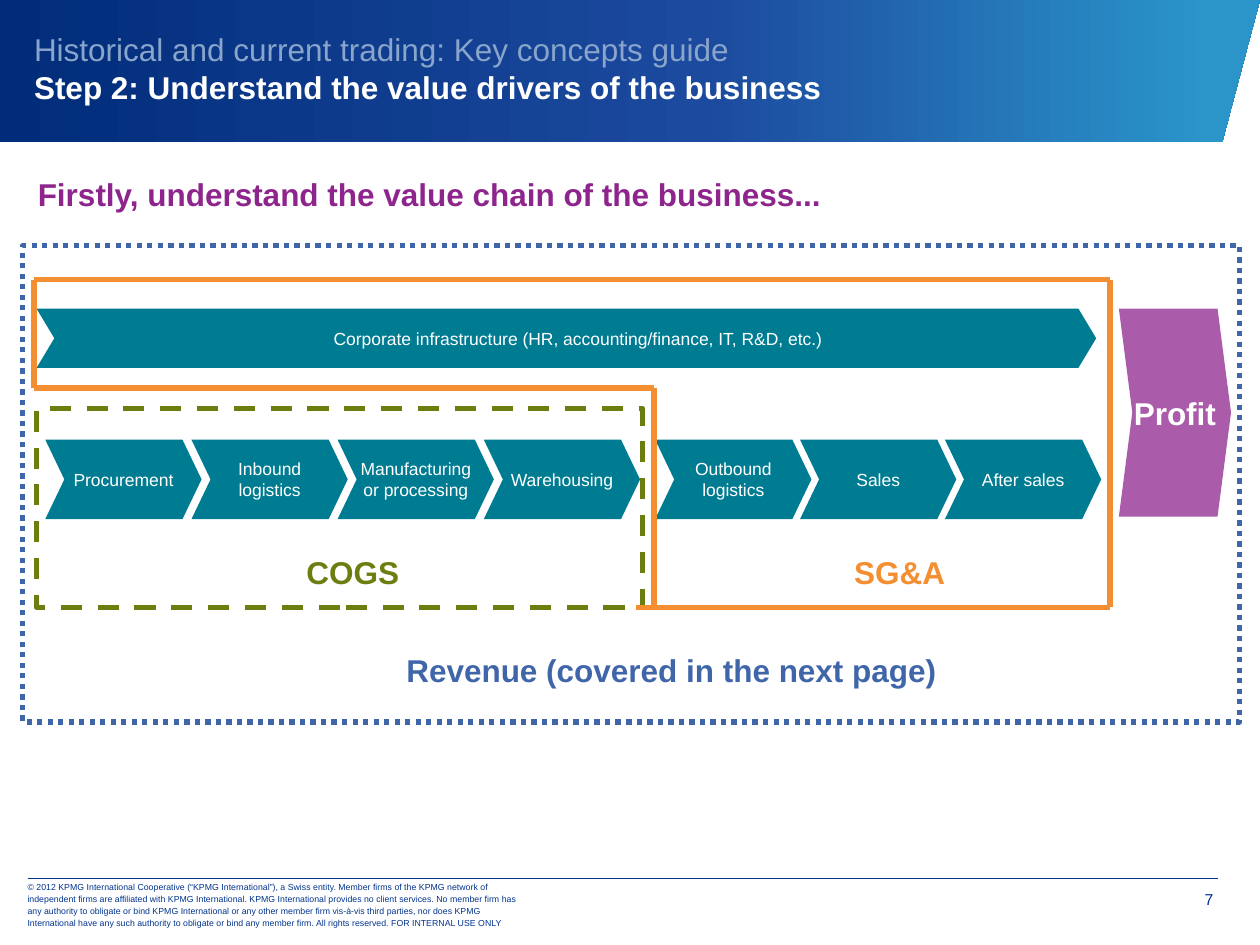
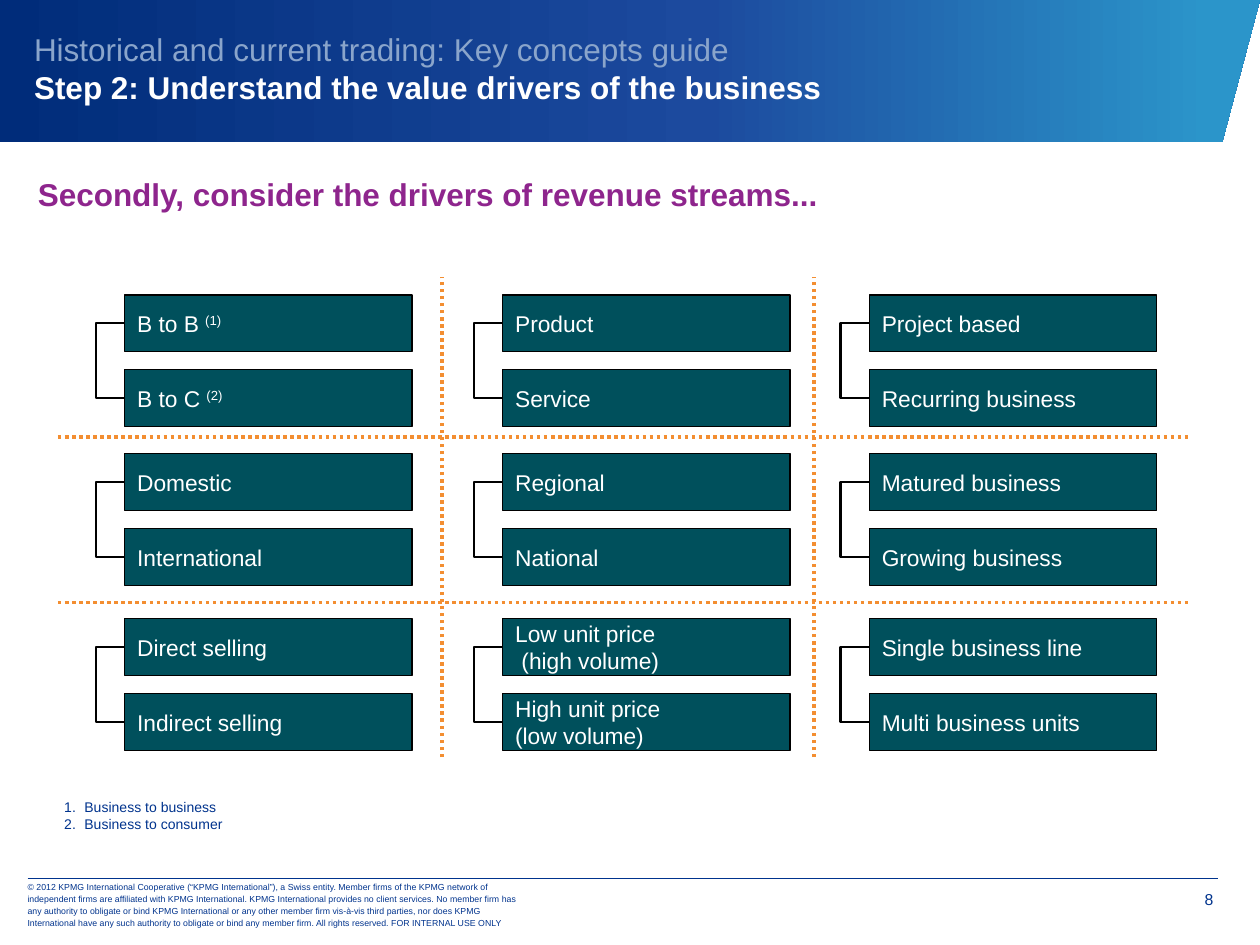
"""Build two slides on the value drivers of a business."""
from copy import deepcopy
from itertools import pairwise, product

from lxml.etree import SubElement
from pptx import Presentation
from pptx.dml.color import RGBColor
from pptx.enum.dml import MSO_LINE
from pptx.enum.shapes import MSO_CONNECTOR, MSO_SHAPE
from pptx.enum.text import MSO_ANCHOR, MSO_AUTO_SIZE, PP_ALIGN
from pptx.oxml.ns import qn
from pptx.util import Emu, Inches, Pt


class Theme:
    font = "Arial"
    navy, pale, white, black = "00338D", "8AA5CB", "FFFFFF", "000000"
    teal, deep, plum, mauve = "007C92", "00505C", "8E258D", "AA5CAA"
    blue, olive, orange = "4066AA", "6A7F10", "F38E31"
    band = [(0, "002C7A"), (0.56, "1C4A9E"), (0.96, "2B95CA")]
    big, box, step, page, note, legal = 18, 13, 10, 9, 8, 5


deck = Presentation()
deck.slide_width, deck.slide_height = Inches(10), Inches(7.5)
unit = deck.slide_width // 100


def grid(*marks):
    return [int(mark * unit) for mark in marks]


def write(shape, text, size, hue, bold=False, align=PP_ALIGN.LEFT,
          anchor=MSO_ANCHOR.TOP, pads=(1, 0.5, 1, 0.5), wrap=True):
    frame = shape.text_frame
    sides = ("margin_left", "margin_top", "margin_right", "margin_bottom")
    form = dict(zip(sides, grid(*pads)), word_wrap=wrap,
                auto_size=MSO_AUTO_SIZE.NONE, vertical_anchor=anchor)
    for key, value in form.items():
        setattr(frame, key, value)
    for n, row in enumerate(text.split("\n")):
        para = frame.add_paragraph() if n else frame.paragraphs[0]
        head, _, mark = row.partition("^")
        para.text = head
        para.alignment, para.space_before = align, Pt(0)
        if mark:
            run = para.add_run()
            run.text = mark
            run._r.get_or_add_rPr().set("baseline", "30000")
        for run in para.runs:
            for key, value in dict(name=Theme.font, size=Pt(size), bold=bold).items():
                setattr(run.font, key, value)
            run.font.color.rgb = RGBColor.from_string(hue)
    return frame.paragraphs


title = ("Historical and current trading: Key concepts guide\v"
         "Step 2: Understand the value drivers of the business")
legal = (
    "© 2012 KPMG International Cooperative (“KPMG International”), a Swiss entity. "
    "Member firms of the KPMG network of independent firms are affiliated with KPMG "
    "International. KPMG International provides no client services. No member firm has "
    "any authority to obligate or bind KPMG International or any other member firm "
    "vis-à-vis third parties, nor does KPMG International have any such authority to "
    "obligate or bind any member firm. All rights reserved. FOR INTERNAL USE ONLY")
pages = [
    (7, 1, "Firstly, understand the value chain of the business..."),
    (8, 3, "Secondly, consider the drivers of revenue streams..."),
]
slides, inks = [], []
for page, layout, lead in pages:
    slide = deck.slides.add_slide(deck.slide_layouts[layout])
    slides.append(slide)
    shapes = slide.shapes

    edge = [grid(*spot) for spot in [(97, 11.3), (100, 0), (0, 0)]]
    path = shapes.build_freeform(*grid(0, 11.3))
    path.add_line_segments(edge, close=True)
    band = path.convert_to_shape()
    band.shadow.inherit = False
    band.line.fill.background()
    band.fill.gradient()
    band.fill.gradient_angle = 0
    stops = band.element.spPr.find(".//" + qn("a:gsLst"))
    stops.append(deepcopy(stops[0]))
    for stop, (place, hue) in zip(band.fill.gradient_stops, Theme.band):
        stop.position = place
        stop.color.rgb = RGBColor.from_string(hue)
    shapes.element.insert(2, band.element)

    head, body = shapes.title, slide.placeholders[1]
    for holder, spot in [(head, (1.7, 0, 98.3, 10.8)), (body, (2, 13.4, 93.6, 4))]:
        for key, value in zip(("left", "top", "width", "height"), grid(*spot)):
            setattr(holder, key, value)
    para = write(head, title, Theme.big, Theme.pale, anchor=MSO_ANCHOR.MIDDLE)[0]
    para.runs[1].font.bold = True
    para.runs[1].font.color.rgb = RGBColor.from_string(Theme.white)
    para = write(body, lead, Theme.big, Theme.plum, True)[0]
    props = para._p.get_or_add_pPr()
    props.set("marL", "0")
    props.set("indent", "0")
    SubElement(props, qn("a:buNone"))

    foot = shapes.add_textbox(*grid(1.2, 70, 41.5, 3.5))
    para = write(foot, legal, Theme.legal, Theme.navy, anchor=MSO_ANCHOR.MIDDLE)[0]
    para.line_spacing = Pt(7)
    folio = shapes.add_textbox(*grid(90.8, 69.8, 5.5, 3.1))
    write(folio, str(page), Theme.page, Theme.navy, align=PP_ALIGN.RIGHT,
          pads=(0.8, 0.8, 0, 0))
    rule = shapes.add_connector(MSO_CONNECTOR.STRAIGHT, *grid(2.2, 69.7, 96.7, 69.7))
    inks.append((rule, Theme.navy, 0.25, None))

chain, drivers = [slide.shapes for slide in slides]

costs = ["Procurement", "Inbound\nlogistics", "Manufacturing or processing", "Warehousing"]
sales = ["Outbound\nlogistics", "Sales", "After sales"]
tight = (0, 0, 0, 0)
arrows = [
    ((88.8, 24.5, 8.9, 16.5), 0.12, Theme.mauve, "Profit", Theme.big, tight),
    ((2.9, 24.5, 84.1, 4.7), 0.3, Theme.teal,
     "Corporate infrastructure (HR, accounting/finance, IT, R&D, etc.)",
     Theme.step, (1.8, 0, 0, 0)),
]
for start, pitch, names in [(3.6, 11.6, costs), (52, 11.5, sales)]:
    for n, name in enumerate(names):
        arrows.append(((start + n * pitch, 34.9, 12.4, 6.3), 0.24, Theme.teal,
                       name, Theme.step, tight))
for spot, point, hue, name, size, pads in arrows:
    arrow = chain.add_shape(MSO_SHAPE.CHEVRON, *grid(*spot))
    arrow.adjustments[0] = point
    arrow.shadow.inherit = False
    arrow.line.fill.background()
    arrow.fill.solid()
    arrow.fill.fore_color.rgb = RGBColor.from_string(hue)
    big = size == Theme.big
    write(arrow, name, size, Theme.white, big, PP_ALIGN.CENTER,
          MSO_ANCHOR.MIDDLE, pads, wrap=not big)

zones = [
    ((1.8, 19.5, 96.6, 37.8), Theme.blue, MSO_LINE.ROUND_DOT,
     (31.3, 51.2, 44, 4), "Revenue (covered in the next page)"),
    ((2.9, 32.4, 48.1, 15.8), Theme.olive, MSO_LINE.DASH,
     (23.3, 43.4, 9.4, 4), "COGS"),
    (None, Theme.orange, None, (66.8, 43.4, 9.2, 4), "SG&A"),
]
for spot, hue, dash, place, name in zones:
    if spot:
        zone = chain.add_shape(MSO_SHAPE.RECTANGLE, *grid(*spot))
        zone.fill.background()
        inks.append((zone, hue, 3, dash))
    write(chain.add_textbox(*grid(*place)), name, Theme.big, hue, True,
          PP_ALIGN.CENTER, wrap=False)
turns = [(51.9, 48.2), (51.9, 30.8), (2.7, 30.8), (2.7, 22.2),
         (88.1, 22.2), (88.1, 48.2), (50.5, 48.2)]
for start, end in pairwise(turns):
    side = chain.add_connector(MSO_CONNECTOR.STRAIGHT, *grid(*start, *end))
    inks.append((side, Theme.orange, 3, None))

pairs = [
    ("B to B ^(1)", "B to C ^(2)"), ("Product", "Service"),
    ("Project based", "Recurring business"),
    ("Domestic", "International"), ("Regional", "National"),
    ("Matured business", "Growing business"),
    ("Direct selling", "Indirect selling"),
    ("Low unit price\n (high volume)", "High unit price\n(low volume)"),
    ("Single business line", "Multi business units"),
]
for (top, left), names in zip(product((23.4, 36, 49.1), (9.9, 39.9, 69)), pairs):
    boxes = []
    for n, name in enumerate(names):
        box = drivers.add_shape(MSO_SHAPE.RECTANGLE,
                                *grid(left, top + n * 5.95, 22.8, 4.5))
        box.fill.solid()
        box.fill.fore_color.rgb = RGBColor.from_string(Theme.deep)
        write(box, name, Theme.box, Theme.white, anchor=MSO_ANCHOR.MIDDLE)
        inks.append((box, Theme.black, 0.75, None))
        boxes.append(box)
    link = drivers.add_connector(MSO_CONNECTOR.ELBOW,
                                 *grid(left, top, left, top + 5.95))
    link.begin_connect(boxes[0], 1)
    link.end_connect(boxes[1], 1)
    link.width = Emu(3600)
    SubElement(link.element.spPr.find(".//" + qn("a:avLst")), qn("a:gd"),
               name="adj1", fmla="val -5800000")
    inks.append((link, Theme.black, 1.25, None))

splits = [(4.6, y, 94.4, y) for y in (34.7, 47.8)]
splits += [(x, 60.1, x, 22) for x in (35.1, 64.6)]
for split in splits:
    dots = drivers.add_connector(MSO_CONNECTOR.STRAIGHT, *grid(*split))
    inks.append((dots, Theme.orange, 2, MSO_LINE.ROUND_DOT))

notes = slides[1].placeholders[2]
for key, value in zip(("left", "top", "width", "height"), grid(4.1, 62.9, 93.6, 3.7)):
    setattr(notes, key, value)
for para in write(notes, "Business to business\nBusiness to consumer",
                  Theme.note, Theme.navy):
    props = para._p.get_or_add_pPr()
    props.set("marL", str(Inches(0.16)))
    props.set("indent", str(-Inches(0.16)))
    SubElement(props, qn("a:buFont"), typeface=Theme.font)
    SubElement(props, qn("a:buAutoNum"), type="arabicPeriod")

for item, hue, width, dash in inks:
    item.line.color.rgb = RGBColor.from_string(hue)
    for key, value in dict(width=Pt(width), dash_style=dash).items():
        setattr(item.line, key, value)
    SubElement(item.element.spPr, qn("a:effectLst"))

deck.save("out.pptx")
